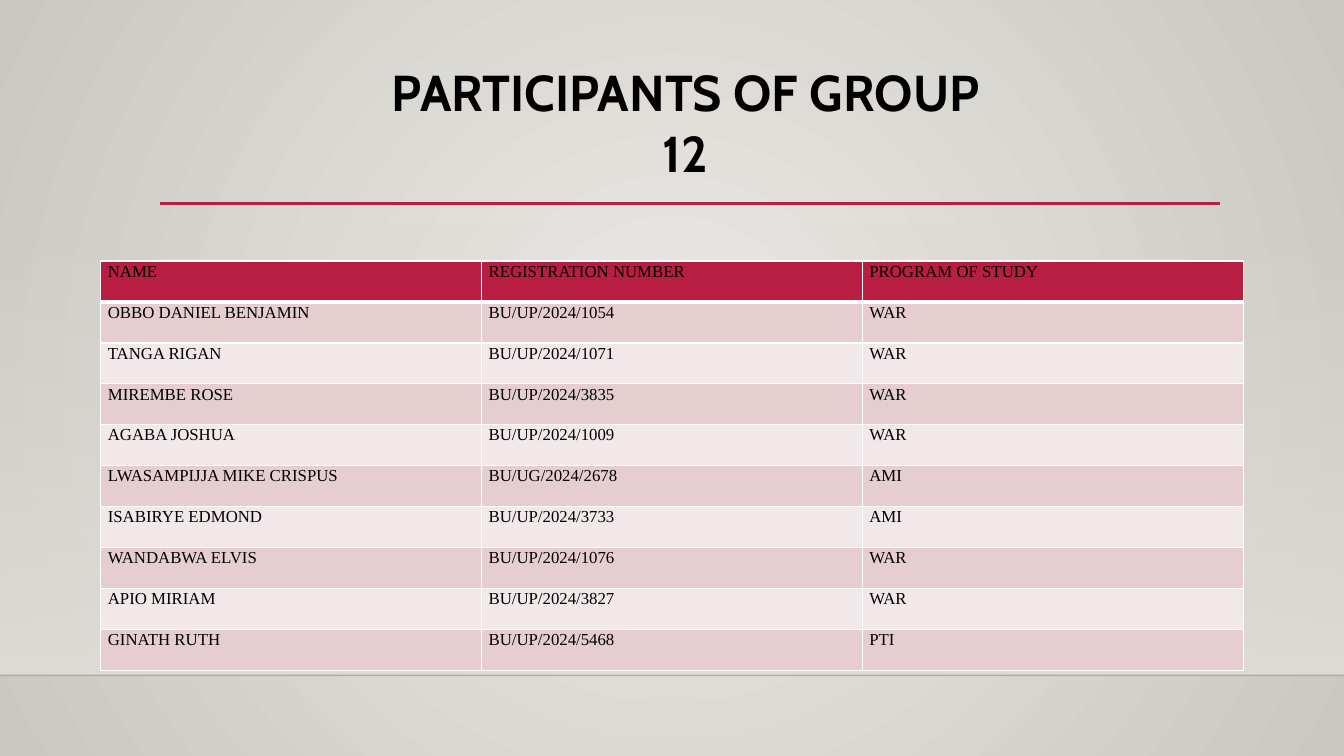
from dataclasses import dataclass

from lxml.etree import SubElement
from pptx import Presentation
from pptx.dml.color import RGBColor
from pptx.enum.shapes import MSO_CONNECTOR as Connector, MSO_SHAPE as ShapeKind
from pptx.enum.text import MSO_ANCHOR as Anchor, MSO_AUTO_SIZE as AutoSize, PP_ALIGN as Align
from pptx.oxml.ns import qn
from pptx.util import Inches, Pt


@dataclass(frozen=True)
class Theme:
    title_font: str = "Cabin"
    table_font: str = "Times New Roman"
    title_size: float = 36
    table_size: float = 12
    text: str = "000000"
    accent: str = "B71E42"
    bands: tuple = ("F3E8E9", "E6CDCF")
    border: str = "FFFFFF"
    center: str = "ECEAE7"
    edge: str = "CAC7C1"
    floor: str = "DFDBD5"
    floor_line: str = "000001"


HEADER = ("NAME", "REGISTRATION NUMBER", "PROGRAM OF STUDY")
PARTICIPANTS = (
    ("OBBO DANIEL BENJAMIN", "BU/UP/2024/1054", "WAR"),
    ("TANGA RIGAN", "BU/UP/2024/1071", "WAR"),
    ("MIREMBE ROSE", "BU/UP/2024/3835", "WAR"),
    ("AGABA JOSHUA", "BU/UP/2024/1009", "WAR"),
    ("LWASAMPIJJA MIKE CRISPUS", "BU/UG/2024/2678", "AMI"),
    ("ISABIRYE EDMOND", "BU/UP/2024/3733", "AMI"),
    ("WANDABWA ELVIS", "BU/UP/2024/1076", "WAR"),
    ("APIO MIRIAM", "BU/UP/2024/3827", "WAR"),
    ("GINATH RUTH", "BU/UP/2024/5468", "PTI"),
)


def write_text(frame, text, *, font, size, color, bold=False, align=None,
               line_spacing=None, space_after=None):
    paragraph = frame.paragraphs[0]
    paragraph.alignment = align
    paragraph.line_spacing = line_spacing
    if space_after is not None:
        paragraph.space_after = Pt(space_after)
    run = paragraph.add_run()
    run.text = text
    run.font.name = font
    run.font.size = Pt(size)
    run.font.bold = bold
    run.font.color.rgb = RGBColor.from_string(color)


def set_alpha(color_element, percent):
    SubElement(color_element, qn("a:alpha"), val=str(percent * 1000))


def set_stops(fill, colors):
    fill.gradient()
    for stop, color in zip(fill.gradient_stops, colors):
        stop.color.rgb = RGBColor.from_string(color)


def set_borders(cell, color, width, bottom_width):
    properties = cell._tc.get_or_add_tcPr()
    for side in "LRTB":
        points = bottom_width if side == "B" else width
        line = SubElement(properties, qn(f"a:ln{side}"), w=str(Pt(points)))
        solid = SubElement(line, qn("a:solidFill"))
        SubElement(solid, qn("a:srgbClr"), val=color)


class SlideBuilder:
    def __init__(self, slide, theme):
        self.slide = slide
        self.theme = theme

    def background(self):
        set_stops(self.slide.background.fill, (self.theme.center, self.theme.edge))
        gradient = self.slide.element.xpath(".//p:bg//a:gradFill")[0]
        for linear in gradient.findall(qn("a:lin")):
            gradient.remove(linear)
        circle = SubElement(gradient, qn("a:path"))
        circle.set("path", "circle")
        SubElement(circle, qn("a:fillToRect"), l="50000", t="50000", r="50000", b="50000")

    def floor(self, left, top, width, height):
        shape = self.slide.shapes.add_shape(
            ShapeKind.RECTANGLE, Inches(left), Inches(top), Inches(width), Inches(height))
        shape.shadow.inherit = False
        shape.line.fill.background()
        set_stops(shape.fill, (self.theme.floor, self.theme.floor))
        shape.fill.gradient_angle = 270
        set_alpha(shape.element.xpath(".//a:gs/a:srgbClr")[0], 0)

    def rule(self, left, right, y, color, width, alpha=None):
        connector = self.slide.shapes.add_connector(
            Connector.STRAIGHT, Inches(left), Inches(y), Inches(right), Inches(y))
        connector.line.color.rgb = RGBColor.from_string(color)
        connector.line.width = Pt(width)
        if alpha is not None:
            set_alpha(connector.element.xpath(".//a:ln//a:srgbClr")[0], alpha)
        SubElement(connector.element.spPr, qn("a:effectLst"))

    def title(self, text, left, top, width, height):
        title = self.slide.shapes.title
        title.left, title.top = Inches(left), Inches(top)
        title.width, title.height = Inches(width), Inches(height)
        frame = title.text_frame
        frame.word_wrap = True
        frame.auto_size = AutoSize.SHAPE_TO_FIT_TEXT
        frame.vertical_anchor = Anchor.TOP
        write_text(frame, text, font=self.theme.title_font, size=self.theme.title_size,
                   color=self.theme.text, bold=True, align=Align.CENTER)

    def table(self, rows, left, top, width, height):
        table = self.slide.shapes.add_table(
            len(rows), len(rows[0]), Inches(left), Inches(top),
            Inches(width), Inches(height)).table
        table.horz_banding = False
        for row_index, row in enumerate(rows):
            is_header = row_index == 0
            fill = self.theme.accent if is_header else self.theme.bands[row_index % 2]
            for column_index, text in enumerate(row):
                cell = table.cell(row_index, column_index)
                cell.margin_left = cell.margin_right = Inches(0.07)
                cell.margin_top = cell.margin_bottom = 0
                set_borders(cell, self.theme.border, 1, 3 if is_header else 1)
                cell.fill.solid()
                cell.fill.fore_color.rgb = RGBColor.from_string(fill)
                write_text(cell.text_frame, text, font=self.theme.table_font,
                           size=self.theme.table_size, color=self.theme.text,
                           line_spacing=1.07, space_after=6.5)


def main():
    presentation = Presentation()
    presentation.slide_width, presentation.slide_height = Inches(13.33), Inches(7.5)
    theme = Theme()
    builder = SlideBuilder(presentation.slides.add_slide(presentation.slide_layouts[5]), theme)

    # Backdrop
    builder.background()
    builder.floor(0, 2.21, 13.33, 4.49)
    builder.rule(0, 13.33, 6.7, theme.floor_line, 1, alpha=20)

    # Title and its underline
    builder.title("PARTICIPANTS OF GROUP 12", 3.6, 0.56, 6.4, 0.71)
    builder.rule(1.59, 12.1, 2.02, theme.accent, 2.5)

    # Participants
    builder.table((HEADER, *PARTICIPANTS), 1, 2.59, 11.33, 4.06)

    presentation.save("out.pptx")


if __name__ == "__main__":
    main()
